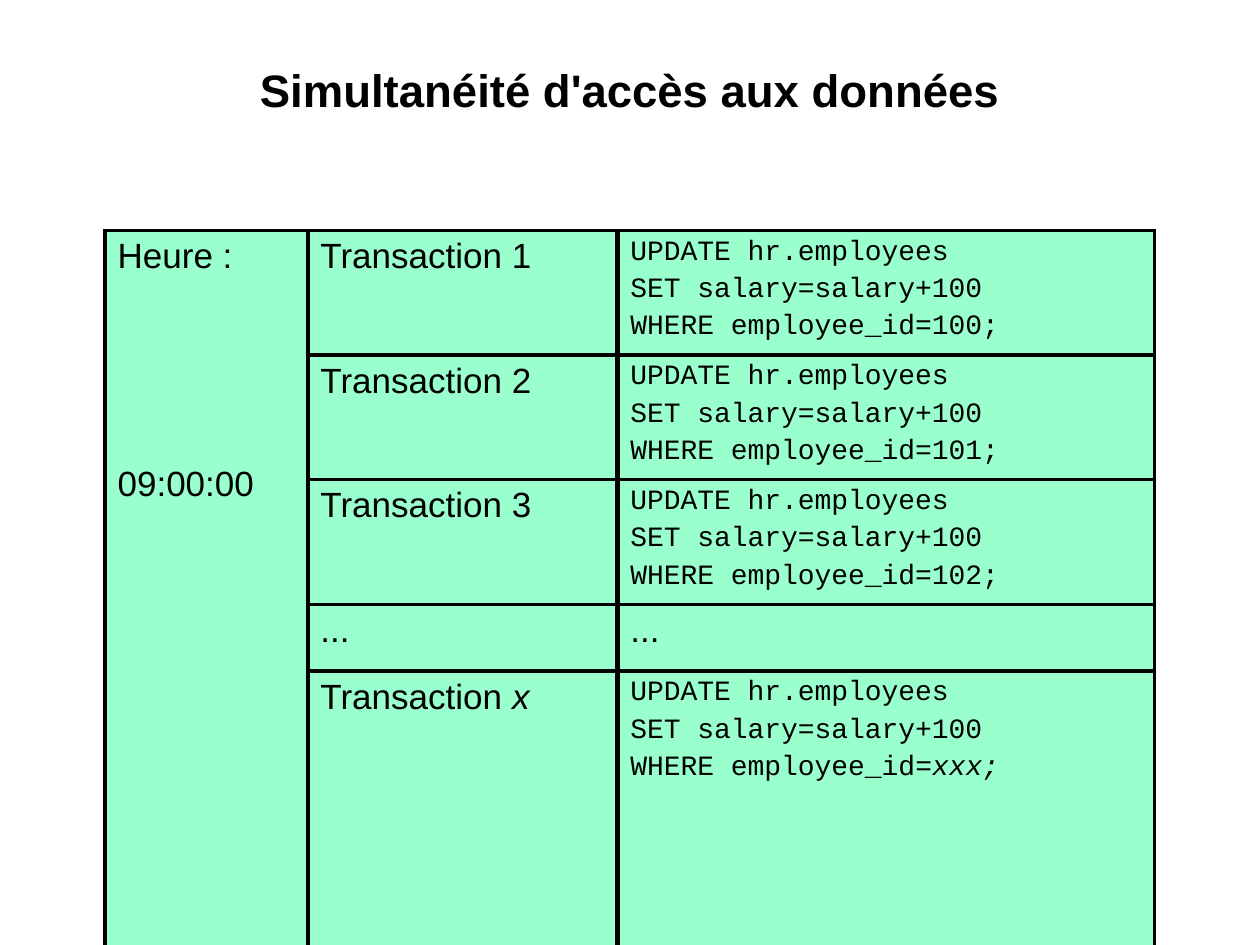
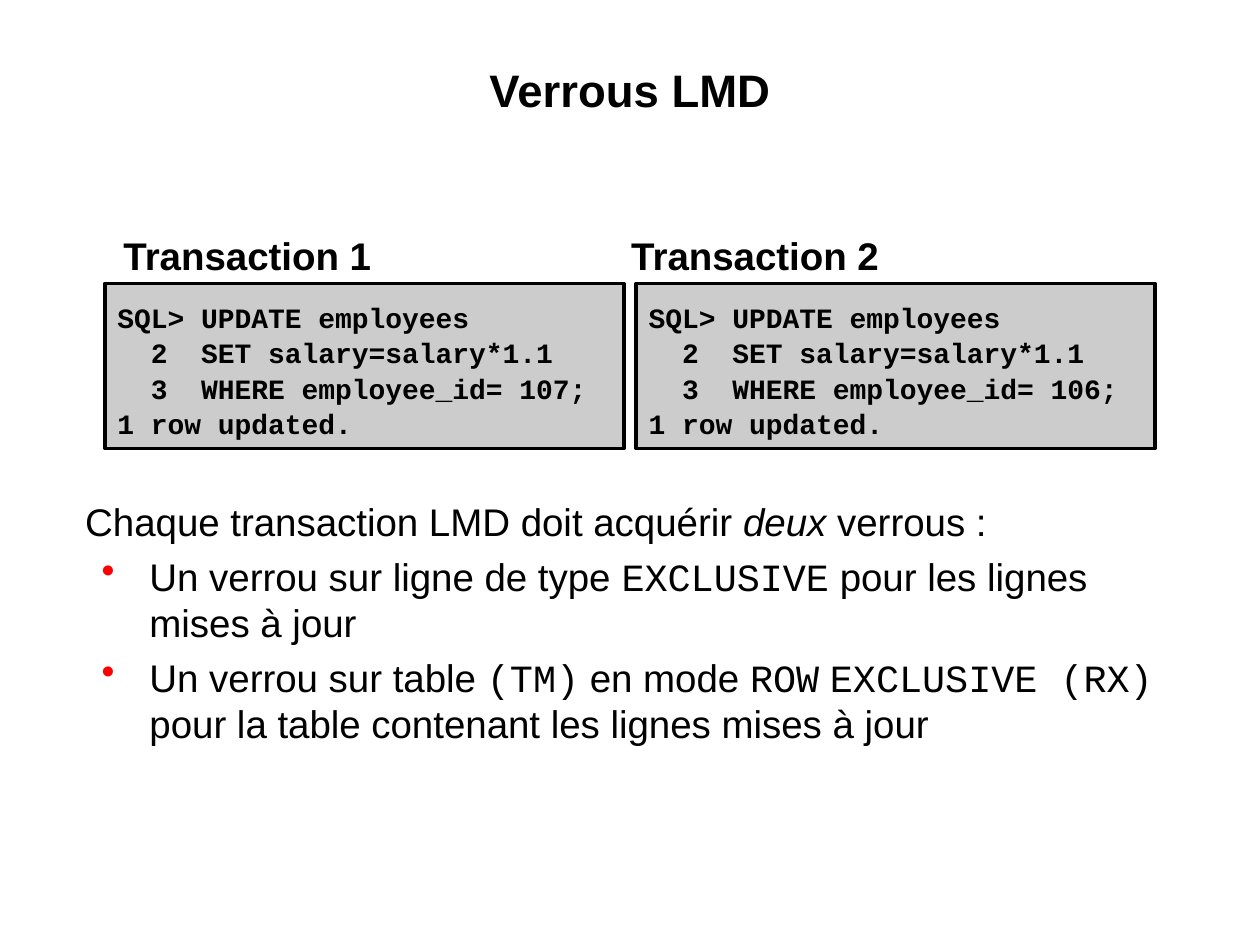
from lxml import etree
from pptx import Presentation
from pptx import util as u
from pptx.dml.color import RGBColor
from pptx.enum import shapes, text
from pptx.oxml.ns import qn

# Shared look
BLACK = RGBColor(0, 0, 0)
WHITE = RGBColor(255, 255, 255)
MINT = RGBColor(0x99, 0xFF, 0xCC)
GREY = RGBColor(0xCC, 0xCC, 0xCC)
RED = RGBColor(255, 0, 0)
SANS, MONO = "Arial", "Courier New"

# Slide and content grid, in inches
WIDE, HIGH = 10, 7.5
EDGE = WIDE / 15            # margin of title and body
LEFT, TOP = WIDE / 12, 1.83  # corner of the content
SPAN = WIDE - 2 * LEFT
GAP = 0.1                   # between the two SQL panels
PANEL = (SPAN - GAP) / 2
TIGHT = 0.01


def style(run, size, font=SANS, bold=False, slant=False):
    face = run.font
    face.size, face.name = u.Pt(size), font
    face.bold, face.italic = bold, slant
    face.color.rgb = BLACK


def fill_par(par, parts, size, font=SANS, bold=False, before=None):
    """Write a string, or a list of strings and (string, kind) pairs."""
    par.space_before = u.Pt(size * 0.2 if before is None else before)
    if isinstance(parts, str):
        parts = [parts]
    for part in parts:
        words, kind = (part, "") if isinstance(part, str) else part
        run = par.add_run()
        run.text = words
        style(run, size, MONO if kind == "mono" else font, bold,
              kind == "slant")


def fill_all(frame, lines, size, font=SANS, bold=False, before=None):
    """Write one paragraph per line and return the paragraphs."""
    for num, line in enumerate(lines):
        par = frame.paragraphs[0] if num == 0 else frame.add_paragraph()
        fill_par(par, line, size, font, bold, before)
    return frame.paragraphs


def add_box(slide, x, y, wide, high):
    box = slide.shapes.add_textbox(*map(u.Inches, (x, y, wide, high)))
    frame = box.text_frame
    frame.word_wrap = True
    frame.margin_left = frame.margin_right = u.Inches(TIGHT)
    frame.margin_top = frame.margin_bottom = u.Inches(TIGHT)
    return frame


def new_slide(deck, title):
    slide = deck.slides.add_slide(deck.slide_layouts[6])
    slide.background.fill.solid()
    slide.background.fill.fore_color.rgb = WHITE
    frame = add_box(slide, EDGE, 0.48, WIDE - 2 * EDGE, 0.96)
    fill_all(frame, [title], 26, bold=True)[0].alignment = text.PP_ALIGN.CENTER
    return slide


# Table
def paint(cell, left, right):
    """Frame a cell with black lines, then fill it."""
    props = cell._tc.get_or_add_tcPr()
    for side, width in zip("LRTB", (left, right, 2.25, 2.25)):
        line = etree.SubElement(props, qn("a:ln" + side), w=str(u.Pt(width)))
        solid = etree.SubElement(line, qn("a:solidFill"))
        etree.SubElement(solid, qn("a:srgbClr"), val=str(BLACK))
    cell.fill.solid()
    cell.fill.fore_color.rgb = MINT


def add_grid(slide, hour, rows, cols, highs):
    grid = slide.shapes.add_table(
        len(rows), len(cols), u.Inches(LEFT), u.Inches(TOP),
        u.Inches(SPAN), u.Inches(sum(highs))).table
    grid.first_row = grid.horz_banding = False
    for col, wide in zip(grid.columns, cols):
        col.width = u.Inches(wide)
    for row, high in zip(grid.rows, highs):
        row.height = u.Inches(high)
    for num, (name, code) in enumerate(rows):
        for col, (left, right) in enumerate([(2.25, 3), (3, 3), (3, 2.25)]):
            paint(grid.cell(num, col), left, right)
        fill_all(grid.cell(num, 1).text_frame, [name], 20)
        look = (16, MONO) if len(code) > 1 else (20, SANS)
        fill_all(grid.cell(num, 2).text_frame, code, *look)
    grid.cell(0, 0).merge(grid.cell(len(rows) - 1, 0))
    pars = fill_all(grid.cell(0, 0).text_frame, hour, 20)
    pars[-1].space_before = u.Pt(108)


def update(tail):
    return ["UPDATE hr.employees", "SET salary=salary+100",
            ["WHERE employee_id", tail]]


# SQL panels and bullets
def add_panel(slide, x, num, staff):
    panel = slide.shapes.add_shape(
        shapes.MSO_SHAPE.RECTANGLE,
        *map(u.Inches, (x, 2.25, PANEL, 1.31)))
    panel.shadow.inherit = False
    panel.fill.solid()
    panel.fill.fore_color.rgb = GREY
    panel.line.color.rgb = BLACK
    panel.line.width = u.Pt(2.25)
    frame = panel.text_frame
    frame.word_wrap = True
    frame.vertical_anchor = text.MSO_ANCHOR.MIDDLE
    lines = ["SQL> UPDATE employees", "  2  SET salary=salary*1.1",
             f"  3  WHERE employee_id= {staff};", "1 row updated."]
    pars = fill_all(frame, lines, 16, MONO, True, 1)
    for par in pars:
        par.alignment = text.PP_ALIGN.LEFT
    pars[0].line_spacing = 1.25


def add_label(slide, x, num):
    frame = add_box(slide, x, TOP, 2.72, 0.39)
    fill_all(frame, [f"Transaction\u00a0{num}"], 22, bold=True)


def add_dot(par):
    props = par._p.get_or_add_pPr()
    props.set("marL", str(u.Inches(0.51)))
    props.set("indent", str(u.Inches(-0.38)))
    tint = etree.SubElement(props, qn("a:buClr"))
    etree.SubElement(tint, qn("a:srgbClr"), val=str(RED))
    etree.SubElement(props, qn("a:buChar"), char="•")


def access(deck):
    slide = new_slide(deck, "Simultanéité d'accès aux données")
    rows = [(f"Transaction\u00a0{num}", update(f"={99 + num};"))
            for num in (1, 2, 3)]
    rows += [("...", ["..."]),
             (["Transaction\u00a0", ("x", "slant")],
              update(("=xxx;", "slant")))]
    add_grid(slide, ["Heure\u00a0:", "09:00:00"], rows,
             (1.61, 2.46, 4.26), (0.89, 0.89, 0.98, 0.53, 0.89))


def locks(deck):
    slide = new_slide(deck, "Verrous LMD")
    body = add_box(slide, EDGE, 3.94, WIDE - 2 * EDGE, 2.01)
    lines = [
        ["Chaque transaction LMD doit acquérir ", ("deux", "slant"),
         " verrous\u00a0:"],
        ["Un verrou sur ligne de type ", ("EXCLUSIVE", "mono"),
         " pour les lignes mises à jour"],
        ["Un verrou sur table ", ("(TM)", "mono"), " en mode ",
         ("ROW", "mono"), " ", ("EXCLUSIVE (RX)", "mono"),
         " pour la table contenant les lignes mises à jour"],
    ]
    for par in fill_all(body, lines, 22, before=5)[1:]:
        add_dot(par)
    for num, staff, mark in ((1, 107, 0.97), (2, 106, 5)):
        add_panel(slide, LEFT + (num - 1) * (PANEL + GAP), num, staff)
        add_label(slide, mark, num)


def main():
    deck = Presentation()
    deck.slide_width, deck.slide_height = u.Inches(WIDE), u.Inches(HIGH)
    access(deck)
    locks(deck)
    deck.save("out.pptx")


main()
